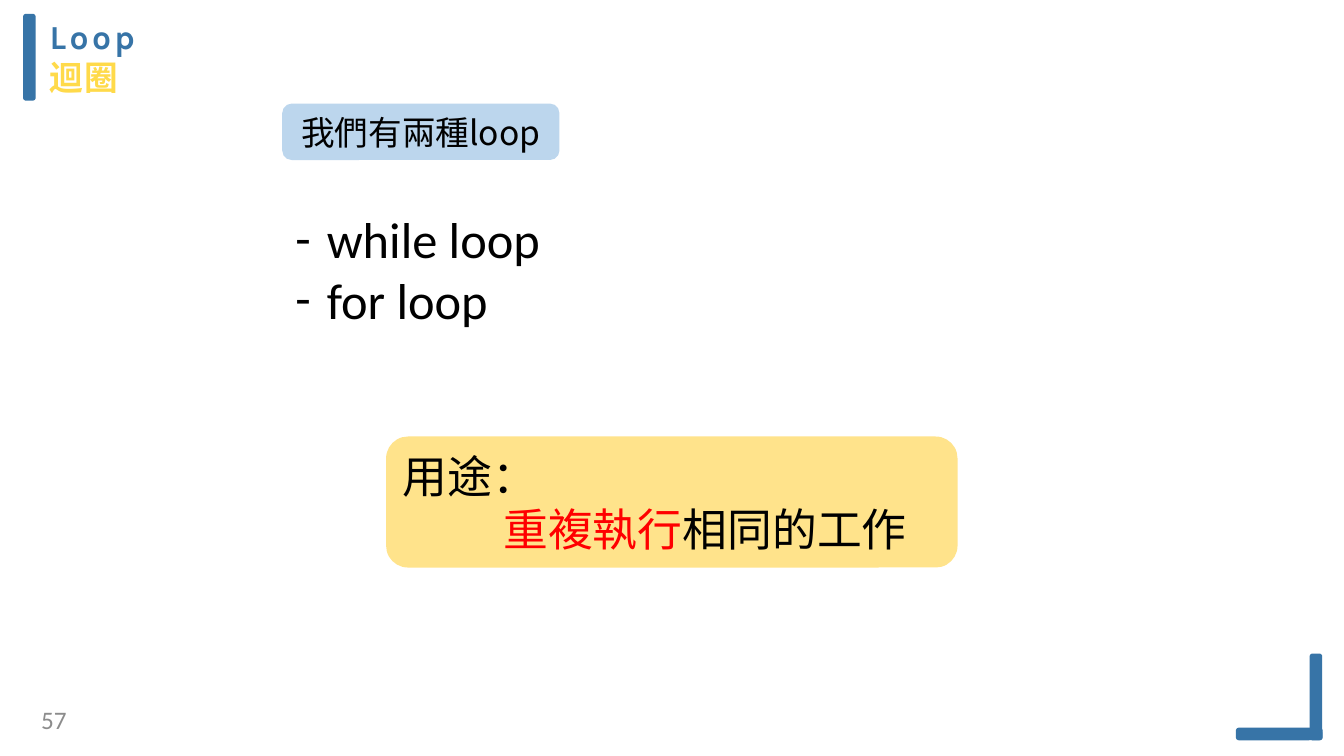
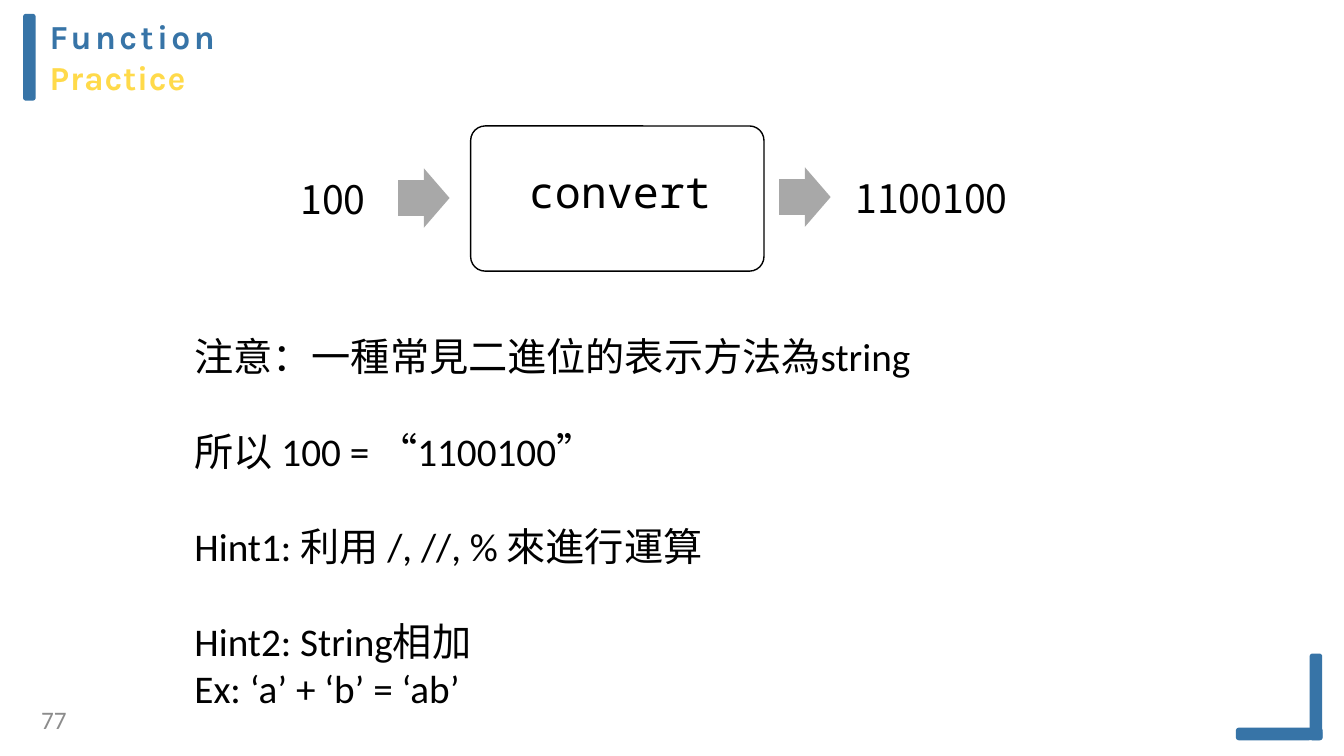
"""Build two teaching slides about loops and functions."""

import dataclasses
import typing

import lxml.etree
import pptx
import pptx.dml.color
import pptx.enum.shapes
import pptx.enum.text
import pptx.oxml.ns
import pptx.util

Pt = pptx.util.Pt
ALIGN = pptx.enum.text.PP_ALIGN
ANCHOR = pptx.enum.text.MSO_ANCHOR
SHAPE = pptx.enum.shapes.MSO_SHAPE

BLUE = "3774A7"
YELLOW = "FFDA4A"
BLACK = "000000"
RED = "FF0000"
GREY = "8C8C8C"
ARROW_GREY = "A8A8A8"
WHITE = "FFFFFF"
PALE_BLUE = "BCD6ED"
PALE_YELLOW = "FFE38B"

BODY = "Calibri"
HEADING = "Karla"
CODE = "Noto Sans Mono"
CJK_SC = "Noto Sans CJK SC"
CJK_TC = "Noto Sans CJK TC"


@dataclasses.dataclass(frozen=True)
class Box:
    """A frame in points."""

    left: float
    top: float
    width: float
    height: float


@dataclasses.dataclass(frozen=True)
class Run:
    """A stretch of text in one format."""

    text: str
    size: float
    font: str = BODY
    colour: str = BLACK
    east_asian: str = CJK_SC
    bold: bool = False
    tracking: float = 0


@dataclasses.dataclass(frozen=True)
class Para:
    """A paragraph with its spacing and indents in points."""

    runs: tuple[Run, ...]
    align: typing.Any = ALIGN.LEFT
    before: float = 0
    line: typing.Any = None
    margin: float = 0
    indent: float = 0
    bullet: str = ""


@dataclasses.dataclass(frozen=True)
class Panel:
    """A preset shape with an optional outline and text."""

    box: Box
    kind: typing.Any
    fill: str
    line: str = ""
    line_width: float = 1
    adjustments: tuple[float, ...] = ()
    paras: tuple[Para, ...] = ()
    anchor: typing.Any = ANCHOR.MIDDLE


FRAME_BARS = tuple(
    Panel(box, SHAPE.ROUNDED_RECTANGLE, BLUE, BLUE, 3, (0.1,))
    for box in (
        Box(18, 11.4, 6, 59),
        Box(937, 468.3, 6, 59),
        Box(884.3, 521.3, 59, 6),
    )
)


def rgb(code: str) -> pptx.dml.color.RGBColor:
    """Turn a hex string into a colour."""
    return pptx.dml.color.RGBColor.from_string(code)


def child(parent: typing.Any, tag: str, **attributes: str) -> typing.Any:
    """Append an XML element."""
    return lxml.etree.SubElement(parent, pptx.oxml.ns.qn(tag), attributes)


def add_run(paragraph: typing.Any, spec: Run) -> None:
    """Add one formatted run to a paragraph."""
    run = paragraph.add_run()
    run.text = spec.text
    run.font.size = Pt(spec.size)
    run.font.bold = spec.bold
    run.font.color.rgb = rgb(spec.colour)
    run.font.name = spec.font
    properties = run._r.get_or_add_rPr()
    child(properties, "a:ea", typeface=spec.east_asian)
    if spec.tracking:
        properties.set("spc", str(round(spec.tracking * 100)))


def fill_text(
    frame: typing.Any,
    paras: tuple[Para, ...],
    anchor: typing.Any = ANCHOR.TOP,
    insets: tuple[float, float, float, float] = (7.2, 3.6, 7.2, 3.6),
) -> None:
    """Write paragraphs into a text frame."""
    frame.word_wrap = True
    frame.auto_size = pptx.enum.text.MSO_AUTO_SIZE.NONE
    frame.vertical_anchor = anchor
    frame.margin_left, frame.margin_top, frame.margin_right, frame.margin_bottom = map(Pt, insets)
    for index, para in enumerate(paras):
        paragraph = frame.add_paragraph() if index else frame.paragraphs[0]
        paragraph.alignment = para.align
        paragraph.space_before = Pt(para.before)
        if para.line is not None:
            paragraph.line_spacing = para.line
        properties = paragraph._p.get_or_add_pPr()
        properties.set("marL", str(Pt(para.margin)))
        properties.set("indent", str(Pt(para.indent)))
        if para.bullet:
            child(child(properties, "a:buClr"), "a:srgbClr", val=BLACK)
            child(properties, "a:buFont", typeface=BODY)
            child(properties, "a:buChar", char=para.bullet)
        for run in para.runs:
            add_run(paragraph, run)


def place(box: Box) -> tuple[pptx.util.Length, ...]:
    """Give a box as lengths."""
    return Pt(box.left), Pt(box.top), Pt(box.width), Pt(box.height)


def add_text(slide: typing.Any, box: Box, *paras: Para, **options: typing.Any) -> None:
    """Add a text box."""
    fill_text(slide.shapes.add_textbox(*place(box)).text_frame, paras, **options)


def add_panel(slide: typing.Any, panel: Panel) -> None:
    """Draw a preset shape."""
    shape = slide.shapes.add_shape(panel.kind, *place(panel.box))
    shape.shadow.inherit = False
    for index, value in enumerate(panel.adjustments):
        shape.adjustments[index] = value
    shape.fill.solid()
    shape.fill.fore_color.rgb = rgb(panel.fill)
    if panel.line:
        shape.line.color.rgb = rgb(panel.line)
        shape.line.width = Pt(panel.line_width)
    else:
        shape.line.fill.background()
    if panel.paras:
        fill_text(shape.text_frame, panel.paras, panel.anchor)


def start_slide(deck: typing.Any, topic: str, subtopic: str, number: str, subtopic_font: str) -> typing.Any:
    """Add a slide with its title, frame bars and number."""
    slide = deck.slides.add_slide(deck.slide_layouts[5])
    title = slide.shapes.title
    title.left, title.top, title.width, title.height = place(Box(34.6, 11.5, 325.4, 60.5))
    heading = (
        Run(topic, 24, HEADING, BLUE, bold=True, tracking=2.4),
        Run(subtopic, 24, subtopic_font, YELLOW, bold=True, tracking=0.6),
    )
    fill_text(
        title.text_frame,
        tuple(Para((run,), before=1, line=Pt(28), margin=0.9) for run in heading),
        insets=(0, 0.9, 0, 0),
    )
    for bar in FRAME_BARS:
        add_panel(slide, bar)
    add_text(
        slide,
        Box(5.8, 503.3, 41.8, 21.6),
        Para((Run(number, 18, colour=GREY),), ALIGN.RIGHT),
        insets=(0, 0, 0, 0),
    )
    return slide


def build_loop_slide(deck: typing.Any) -> None:
    """Build the slide on the two kinds of loop."""
    slide = start_slide(deck, "Loop", "迴圈", "57", CJK_SC)
    add_text(
        slide,
        Box(203.8, 145.4, 323.3, 94.3),
        *(
            Para((Run(loop, 36),), margin=22.5, indent=-22.5, bullet="-")
            for loop in ("while loop", "for loop")
        ),
    )
    purpose = (
        Para((Run("用途：", 32, CJK_SC),), line=Pt(38.5)),
        Para(
            (Run("重複執行", 32, CJK_SC, RED), Run("相同的工作", 32, CJK_SC)),
            line=Pt(38.5),
            margin=72,
        ),
    )
    add_panel(
        slide,
        Panel(Box(275.8, 311.8, 408.2, 93.6), SHAPE.ROUNDED_RECTANGLE, PALE_YELLOW, paras=purpose),
    )
    loop_kinds = Para((Run("我們有兩種loop", 24, CJK_SC),), ALIGN.CENTER)
    add_panel(
        slide,
        Panel(Box(201.6, 74, 198, 40.3), SHAPE.ROUNDED_RECTANGLE, PALE_BLUE, paras=(loop_kinds,)),
    )


def build_practice_slide(deck: typing.Any) -> None:
    """Build the slide on the binary conversion exercise."""
    slide = start_slide(deck, "Function", "Practice", "77", HEADING)
    notes = (
        (("注意：一種常見二進位的表示方法為string", BODY),),
        (("所以 100 = ", BODY), ("“", CJK_TC), ("1100100", BODY), ("”", CJK_TC)),
        (("Hint1: 利用 /, //, % 來進行運算", BODY),),
        (("Hint2: String相加", BODY),),
        (("Ex: ‘a’ + ‘b’ = ‘ab’", BODY),),
    )
    gaps = (0, 34, 34, 34, 0)
    add_text(
        slide,
        Box(131.8, 234, 588.2, 300),
        *(
            Para(
                tuple(Run(text, 28, font, east_asian=CJK_TC) for text, font in note),
                before=gap,
                line=Pt(33.7),
            )
            for note, gap in zip(notes, gaps)
        ),
    )
    add_panel(
        slide,
        Panel(Box(336.2, 90, 209.5, 103.7), SHAPE.ROUNDED_RECTANGLE, WHITE, BLACK, adjustments=(0.1,)),
    )
    for left, top in ((284.4, 120.2), (556.6, 119.5)):
        add_panel(
            slide,
            Panel(Box(left, top, 36.7, 42.5), SHAPE.RIGHT_ARROW, ARROW_GREY, adjustments=(0.6, 0.5)),
        )
    add_text(
        slide,
        Box(328.3, 90, 229, 97.2),
        Para((Run("convert", 31, CODE),), ALIGN.CENTER, line=0.9),
        anchor=ANCHOR.MIDDLE,
        insets=(9.4, 9.4, 9.4, 9.4),
    )
    add_text(slide, Box(207.4, 121.7, 66.2, 41), Para((Run("100", 28, CJK_SC),)))
    add_text(slide, Box(604, 121, 148.3, 41), Para((Run("1100100", 28, CJK_TC),)))


def main() -> None:
    """Build and save the deck."""
    deck = pptx.Presentation()
    deck.slide_width, deck.slide_height = Pt(960), Pt(540)
    build_loop_slide(deck)
    build_practice_slide(deck)
    deck.save("out.pptx")


if __name__ == "__main__":
    main()
